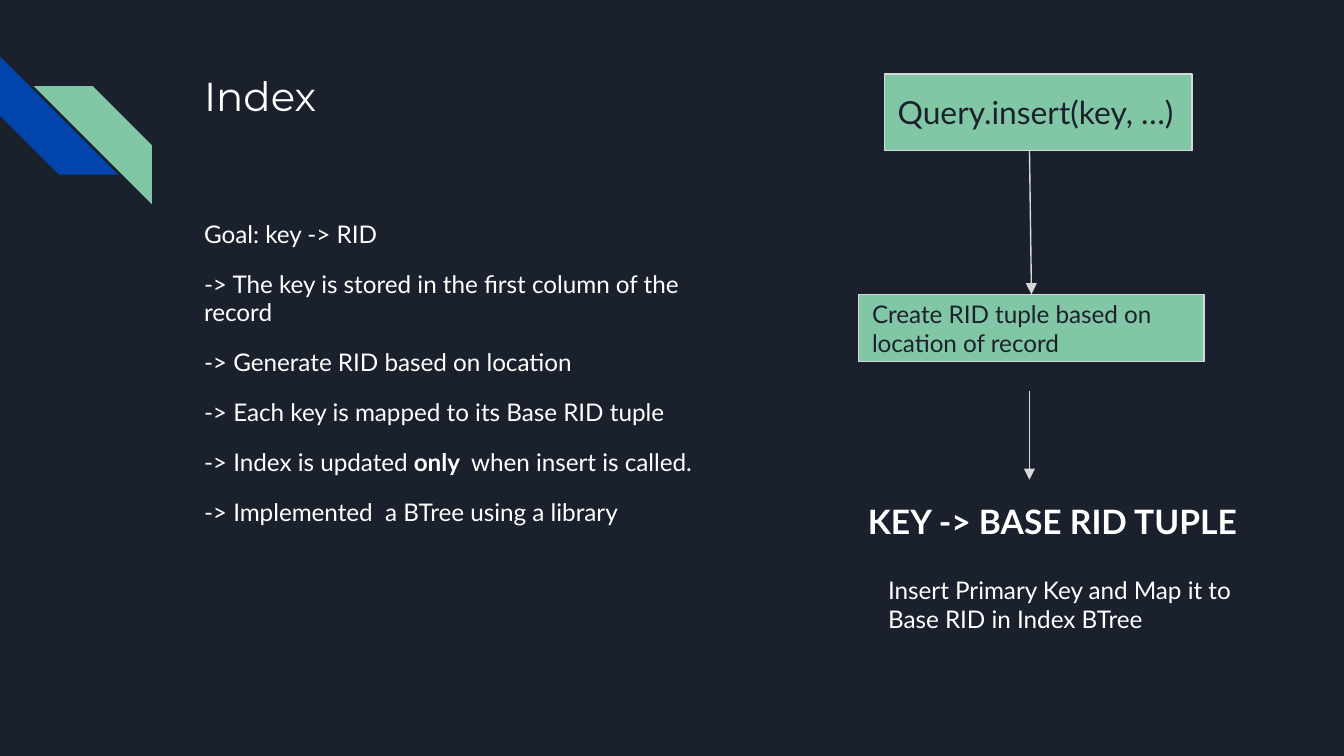
from dataclasses import dataclass

from lxml.etree import SubElement
from pptx import Presentation
from pptx.dml.color import RGBColor
from pptx.enum.shapes import MSO_CONNECTOR, MSO_SHAPE
from pptx.enum.text import MSO_ANCHOR, PP_ALIGN
from pptx.oxml.ns import qn
from pptx.shapes.autoshape import Shape
from pptx.shapes.connector import Connector
from pptx.slide import Slide
from pptx.text.text import TextFrame
from pptx.util import Inches, Pt

NAVY, BLUE, GREEN, GREY, WHITE = "1B212C", "0145AC", "82C7A5", "D9D9D9", "FFFFFF"


@dataclass(frozen=True)
class Box:
    left: float
    top: float
    width: float
    height: float

    def lengths(self) -> tuple[int, ...]:
        return tuple(Inches(n) for n in (self.left, self.top, self.width, self.height))


@dataclass(frozen=True)
class Style:
    size: float
    color: str = WHITE
    font: str = "Lato"
    bold: bool = False
    line_spacing: float = 1.0
    space_before: float = 0


@dataclass(frozen=True)
class Label:
    box: Box
    paragraphs: list[list[str]]
    style: Style


@dataclass(frozen=True)
class Stripe:
    box: Box
    color: str
    rotation: int


BODY = Style(13, line_spacing=0.95, space_before=12)
EMPHASIS = "only "

STRIPES = [
    Stripe(Box(0, 0.42, 0.88, 0.88), BLUE, 270),
    Stripe(Box(0.25, 0.64, 0.88, 0.88), GREEN, 90),
]
LABELS = [
    Label(Box(1.42, 0.43, 7.7, 1), [["Index"]], Style(21.6, font="Montserrat")),
    Label(Box(1.42, 1.55, 4.27, 3.04), [
        ["Goal: key -> RID"],
        ["-> The key is stored in the first column of the record"],
        ["-> Generate RID based on location"],
        ["-> Each key is mapped to its Base RID tuple"],
        ["-> Index is updated ", EMPHASIS, " when insert is called."],
        ["-> Implemented  a BTree using a library"],
    ], BODY),
    Label(Box(6.51, 4.18, 2.77, 0.64),
          [["Insert Primary Key and Map it to Base RID in Index BTree"]], Style(13)),
    Label(Box(6.36, 3.63, 3.64, 0.5), [["KEY -> BASE RID TUPLE"]], Style(18, bold=True)),
]
QUERY_STEP = Label(Box(6.58, 0.55, 2.29, 0.57), [["Query.insert(key, …)"]], Style(17, NAVY))
TUPLE_STEP = Label(Box(6.39, 2.19, 2.57, 0.5),
                   [["Create RID tuple based on location of record"]], Style(13, NAVY))


def rgb(color: str) -> RGBColor:
    return RGBColor.from_string(color)


def write_text(frame: TextFrame, paragraphs: list[list[str]], style: Style) -> None:
    frame.word_wrap = True
    frame.margin_left = frame.margin_right = Inches(0.1)
    frame.margin_top = frame.margin_bottom = Inches(0.1)
    for index, texts in enumerate(paragraphs):
        paragraph = frame.add_paragraph() if index else frame.paragraphs[0]
        paragraph.alignment = PP_ALIGN.LEFT
        paragraph.line_spacing = style.line_spacing
        paragraph.space_before = Pt(style.space_before if index else 0)
        for text in texts:
            run = paragraph.add_run()
            run.text = text
            run.font.name = style.font
            run.font.size = Pt(style.size)
            run.font.bold = style.bold or text == EMPHASIS
            run.font.color.rgb = rgb(style.color)


def add_filled_shape(slide: Slide, preset: MSO_SHAPE, box: Box, color: str) -> Shape:
    shape = slide.shapes.add_shape(preset, *box.lengths())
    shape.shadow.inherit = False
    shape.fill.solid()
    shape.fill.fore_color.rgb = rgb(color)
    return shape


def add_stripe(slide: Slide, stripe: Stripe) -> None:
    shape = add_filled_shape(slide, MSO_SHAPE.DIAGONAL_STRIPE, stripe.box, stripe.color)
    shape.adjustments[0] = 0.5
    shape.rotation = stripe.rotation
    shape.line.fill.background()


def add_label(slide: Slide, label: Label) -> None:
    text_box = slide.shapes.add_textbox(*label.box.lengths())
    write_text(text_box.text_frame, label.paragraphs, label.style)


def add_step(slide: Slide, step: Label) -> Shape:
    shape = add_filled_shape(slide, MSO_SHAPE.RECTANGLE, step.box, GREEN)
    shape.line.color.rgb = rgb(GREY)
    shape.line.width = Pt(0.75)
    shape.text_frame.vertical_anchor = MSO_ANCHOR.MIDDLE
    write_text(shape.text_frame, step.paragraphs, step.style)
    return shape


def add_down_arrow(slide: Slide, x: float, top: float, bottom: float) -> Connector:
    arrow = slide.shapes.add_connector(
        MSO_CONNECTOR.STRAIGHT, Inches(x), Inches(top), Inches(x), Inches(bottom))
    arrow.line.color.rgb = rgb(GREY)
    arrow.line.width = Pt(0.75)
    SubElement(arrow.line._get_or_add_ln(), qn("a:tailEnd"), type="triangle")
    SubElement(arrow._element.spPr, qn("a:effectLst"))
    return arrow


def main() -> None:
    presentation = Presentation()
    presentation.slide_width = Inches(10)
    presentation.slide_height = presentation.slide_width * 9 // 16
    slide = presentation.slides.add_slide(presentation.slide_layouts[6])
    slide.background.fill.solid()
    slide.background.fill.fore_color.rgb = rgb(NAVY)

    for stripe in STRIPES:
        add_stripe(slide, stripe)
    for label in LABELS:
        add_label(slide, label)

    add_step(slide, QUERY_STEP)
    tuple_step = add_step(slide, TUPLE_STEP)
    query_bottom = QUERY_STEP.box.top + QUERY_STEP.box.height
    insert_arrow = add_down_arrow(slide, 7.66, query_bottom, TUPLE_STEP.box.top)
    insert_arrow.end_connect(tuple_step, 0)
    add_down_arrow(slide, 7.66, 2.91, 3.57)

    presentation.save("out.pptx")


if __name__ == "__main__":
    main()
